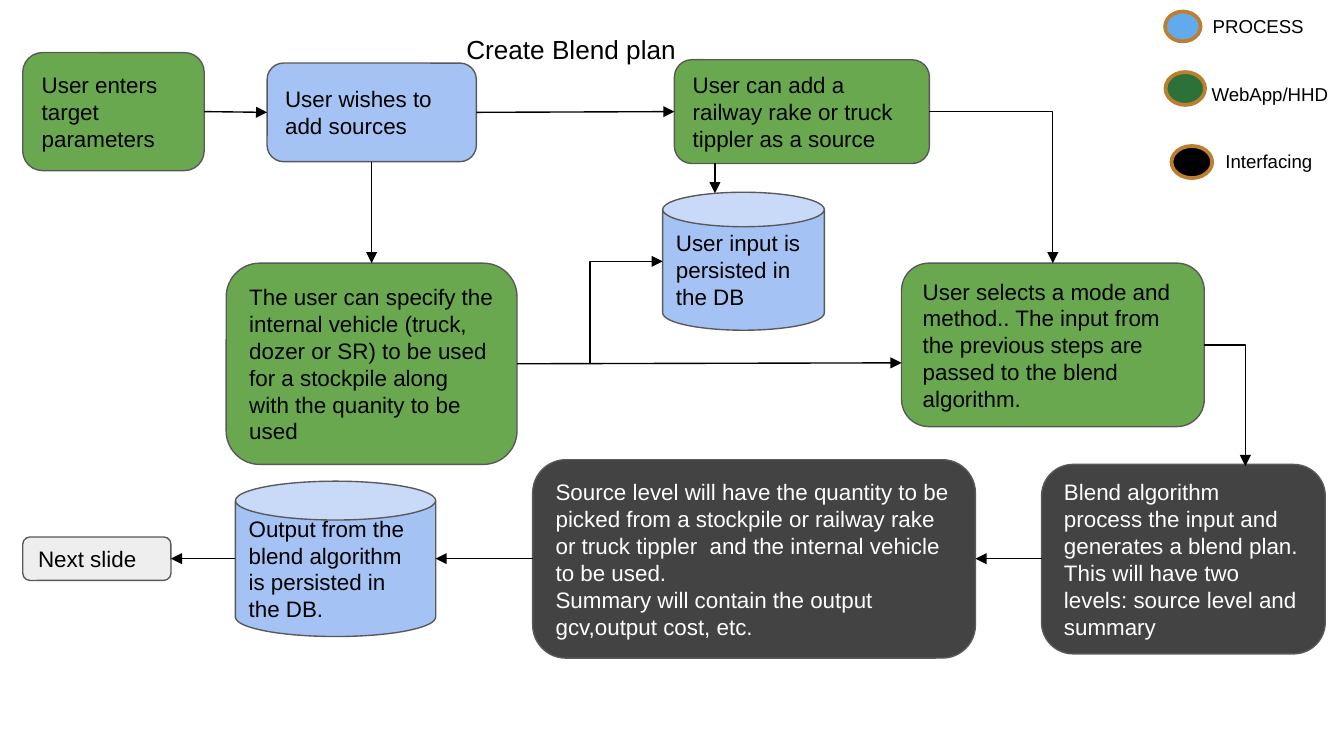
"""Build the flowchart slide for creating a blend plan."""
from dataclasses import dataclass

from lxml import etree
from pptx import Presentation
from pptx.dml.color import RGBColor
from pptx.enum.shapes import MSO_CONNECTOR, MSO_SHAPE
from pptx.enum.text import MSO_ANCHOR, MSO_AUTO_SIZE, PP_ALIGN
from pptx.oxml.ns import qn
from pptx.util import Pt

ROUNDED, CAN, OVAL = MSO_SHAPE.ROUNDED_RECTANGLE, MSO_SHAPE.CAN, MSO_SHAPE.OVAL
STRAIGHT, ELBOW = MSO_CONNECTOR.STRAIGHT, MSO_CONNECTOR.ELBOW
TOP, MIDDLE = MSO_ANCHOR.TOP, MSO_ANCHOR.MIDDLE
LEFT, FIXED = PP_ALIGN.LEFT, MSO_AUTO_SIZE.NONE

FONT = "Arial"
BLACK, WHITE = "000000", "FFFFFF"
GREEN, BLUE, DARK, PALE = "6AA84F", "A4C2F4", "434343", "EEEEEE"
OUTLINE, RING = "595959", "BD7F2F"
TITLE_ONLY = 5

FRAME = {
    "word_wrap": True,
    "auto_size": FIXED,
    "margin_left": Pt(7.2),
    "margin_right": Pt(7.2),
    "margin_top": Pt(7.2),
    "margin_bottom": Pt(7.2),
}
LEGEND_FRAME = FRAME | {"margin_top": Pt(3.6), "margin_bottom": Pt(3.6)}


@dataclass(frozen=True)
class Step:
    text: str
    left: float
    top: float
    width: float
    height: float
    fill: str
    ink: str = BLACK
    outline: int = ROUNDED


@dataclass(frozen=True)
class Flow:
    start: tuple[float, float]
    end: tuple[float, float]
    preset: str = "line"


@dataclass(frozen=True)
class Key:
    label: str
    dot: tuple[float, float, float, float]
    fill: str
    label_box: tuple[float, float, float, float]


STEPS = [
    Step("User enters target parameters", 12.2, 28.2, 97.2, 63.2, GREEN),
    Step("User wishes to add sources", 143.1, 33.8, 112.1, 52.8, BLUE),
    Step("User can add a railway rake or truck tippler as a source",
         361.3, 32, 136.6, 55.6, GREEN),
    Step("User selects a mode and method.. The input from the previous steps "
         "are passed to the blend algorithm.", 483, 141, 162.2, 87.6, GREEN),
    Step("Blend algorithm process the input and generates a blend plan. This "
         "will have two levels: source level and summary",
         558, 248.8, 152, 101.5, DARK, WHITE),
    Step("Source level will have the quantity to be picked from a stockpile or "
         "railway rake or truck tippler  and the internal vehicle to be used.\n"
         "Summary will contain the output gcv,output cost, etc.",
         285.4, 246.3, 237.2, 106.3, DARK, WHITE),
    Step("Next slide", 12.2, 287.7, 79.4, 23.3, PALE),
    Step("User input is persisted in the DB",
         355, 103, 86.6, 73.9, BLUE, outline=CAN),
    Step("Output from the blend algorithm is persisted in the DB.",
         126.1, 257.8, 107.3, 83.2, BLUE, outline=CAN),
    Step("The user can specify the internal vehicle (truck, dozer or SR) to be "
         "used for a stockpile along with the quanity to be used",
         121.2, 141, 155.8, 107.8, GREEN),
]

FLOWS = [
    Flow((109.4, 59.8), (143.1, 60.2)),
    Flow((255.2, 60.2), (361.3, 59.8)),
    Flow((277, 194.9), (483, 194.4)),
    Flow((558, 299.3), (522.6, 299.3)),
    Flow((285.4, 299.3), (233.4, 299.3)),
    Flow((126.1, 299.3), (91.6, 299.3)),
    Flow((199.1, 86.6), (199.1, 141)),
    Flow((383, 87.6), (383, 103.5)),
    Flow((497.9, 59.8), (564, 141), "bentConnector2"),
    Flow((277, 194.9), (355, 140), "bentConnector3"),
    Flow((645.2, 184.8), (667.2, 249.7), "bentConnector2"),
]

LEGEND = [
    Key("PROCESS", (624.2, 6.2, 19, 16), "62AAEC", (642.6, 4.5, 77, 19.4)),
    Key("WebApp/HHD", (624.4, 38.6, 21.2, 17.6), "2C7238", (642, 41, 90.7, 19.4)),
    Key("Interfacing", (627.6, 78.2, 21.8, 17.2), BLACK, (649.4, 76.7, 64, 19.4)),
]


def color(value: str) -> RGBColor:
    return RGBColor.from_string(value)


def write(holder, text: str, size: float, ink: str, anchor, frame: dict) -> None:
    words = holder.text_frame
    words.text = text
    for name, value in (frame | {"vertical_anchor": anchor}).items():
        setattr(words, name, value)
    for paragraph in words.paragraphs:
        paragraph.alignment = LEFT
        paragraph.line_spacing = 1.0
        letters = {"name": FONT, "size": Pt(size), "bold": False}
        for run in paragraph.runs:
            for name, value in letters.items():
                setattr(run.font, name, value)
            run.font.color.rgb = color(ink)


def draw_outline(slide, preset, box, fill: str, line: str, weight: float):
    outline = slide.shapes.add_shape(preset, *map(Pt, box))
    outline.shadow.inherit = False
    outline.fill.solid()
    outline.fill.fore_color.rgb = color(fill)
    outline.line.color.rgb = color(line)
    outline.line.width = Pt(weight)
    return outline


def draw_step(slide, step: Step) -> None:
    box = (step.left, step.top, step.width, step.height)
    outline = draw_outline(slide, step.outline, box, step.fill, OUTLINE, 0.75)
    write(outline, step.text, 12, step.ink, MIDDLE, FRAME)


def draw_flow(slide, flow: Flow) -> None:
    kind = STRAIGHT if flow.preset == "line" else ELBOW
    arrow = slide.shapes.add_connector(kind, *map(Pt, flow.start + flow.end))
    arrow.line.color.rgb = color(BLACK)
    arrow.line.width = Pt(0.75)
    properties = arrow._element.spPr
    properties.find(qn("a:prstGeom")).set("prst", flow.preset)
    etree.SubElement(properties.find(qn("a:ln")), qn("a:tailEnd"), type="triangle")
    etree.SubElement(properties, qn("a:effectLst"))


def draw_key(slide, key: Key) -> None:
    draw_outline(slide, OVAL, key.dot, key.fill, RING, 2)
    label = slide.shapes.add_textbox(*map(Pt, key.label_box))
    write(label, key.label, 10, BLACK, TOP, LEGEND_FRAME)


def place_title(slide) -> None:
    title = slide.shapes.title
    place = {"left": 242.6, "top": 10.8, "width": 182.9, "height": 36.7}
    for name, value in place.items():
        setattr(title, name, Pt(value))
    write(title, "Create Blend plan", 14, BLACK, TOP, FRAME)


def main() -> None:
    deck = Presentation()
    deck.slide_width, deck.slide_height = Pt(720), Pt(405)
    slide = deck.slides.add_slide(deck.slide_layouts[TITLE_ONLY])
    place_title(slide)
    for step in STEPS:
        draw_step(slide, step)
    for flow in FLOWS:
        draw_flow(slide, flow)
    for key in LEGEND:
        draw_key(slide, key)
    deck.save("out.pptx")


if __name__ == "__main__":
    main()
